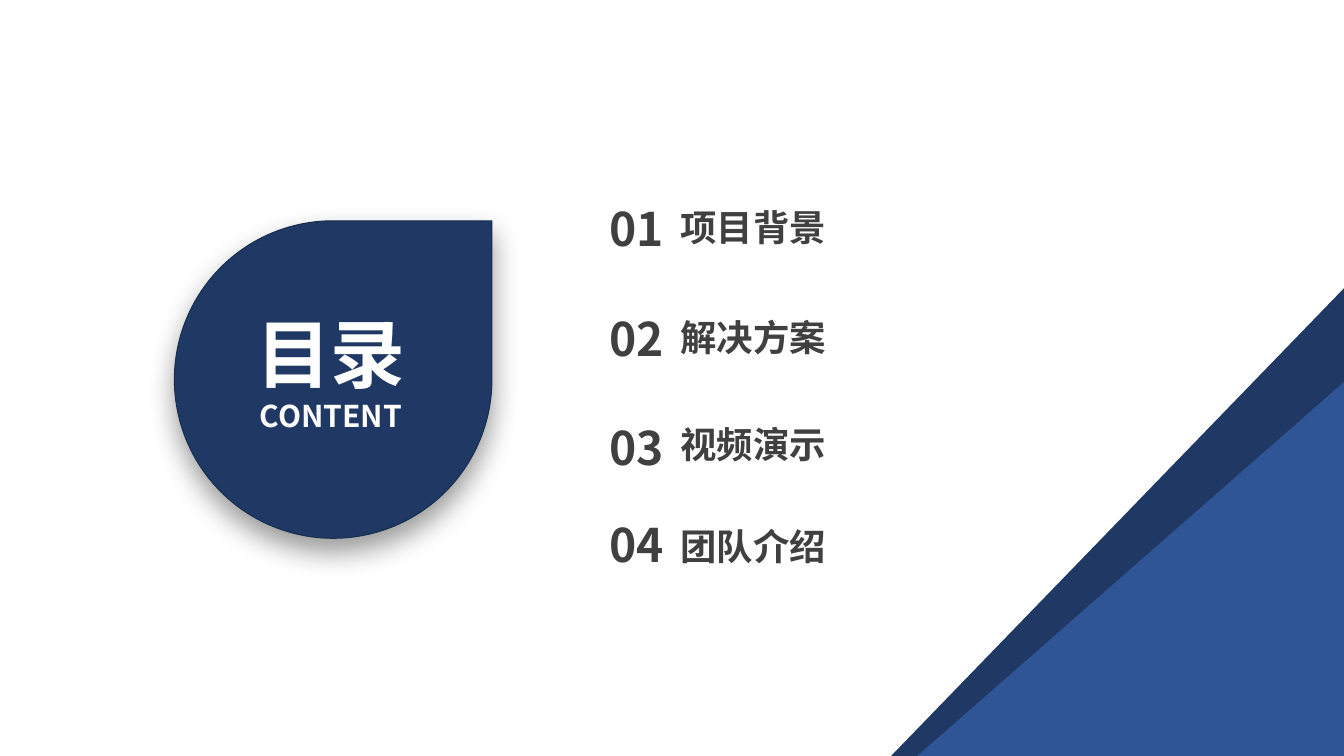
import dataclasses
import typing

import pptx
import pptx.dml.color
import pptx.enum.shapes
import pptx.enum.text
import pptx.oxml
import pptx.oxml.ns
import pptx.util

# The page is a grid of square cells.
COLUMNS, ROWS = 40, 22.5
CELL = pptx.util.Inches(1 / 3)

NAVY = pptx.dml.color.RGBColor(0x20, 0x38, 0x64)
DEEP_NAVY = pptx.dml.color.RGBColor(0x16, 0x2E, 0x4F)
BLUE = pptx.dml.color.RGBColor(0x2F, 0x55, 0x97)
GREY = pptx.dml.color.RGBColor(0x40, 0x40, 0x40)
WHITE = pptx.dml.color.RGBColor(0xFF, 0xFF, 0xFF)

FONT = "Noto Sans CJK SC"
SHAPES = pptx.enum.shapes.MSO_SHAPE
ALIGN = pptx.enum.text.PP_ALIGN
ANCHOR = pptx.enum.text.MSO_ANCHOR


@dataclasses.dataclass(frozen=True)
class Area:
    column: float
    row: float
    columns: float
    rows: float

    def lengths(self) -> list[int]:
        return [cells(n) for n in dataclasses.astuple(self)]


@dataclasses.dataclass(frozen=True)
class Line:
    text: str
    size: float
    color: pptx.dml.color.RGBColor
    align: typing.Any = ALIGN.CENTER


@dataclasses.dataclass(frozen=True)
class Entry:
    number: str
    title: str
    number_row: float
    title_row: float
    title_rows: float


@dataclasses.dataclass(frozen=True)
class Corner:
    """Triangle in the bottom right corner of the page."""

    top_row: float
    left_column: float
    color: pptx.dml.color.RGBColor


DROP = Area(5.19, 6.57, 9.45, 9.45)
HEADING = Area(6.81, 7.41, 7.89, 7.23)
HEADING_LINES = [Line("目录", 53.4, WHITE), Line("CONTENT", 21.4, WHITE)]

NUMBER_COLUMN, NUMBER_SIZE = 17.94, 2.04
TITLE_COLUMN, TITLE_COLUMNS, TITLE_INDENT = 18.69, 12.99, 1.56
ENTRIES = [
    Entry("01", "项目背景", 5.76, 6.09, 1.32),
    Entry("02", "解决方案", 9.03, 9.42, 1.26),
    Entry("03", "视频演示", 12.27, 12.69, 1.17),
    Entry("04", "团队介绍", 15.18, 15.48, 1.41),
]
CORNERS = [Corner(8.58, 26.52, NAVY), Corner(11.37, 27.3, BLUE)]


def cells(count: float) -> int:
    return round(count * CELL)


def apply_format(target: typing.Any, values: dict[str, typing.Any]) -> None:
    for name, value in values.items():
        setattr(target, name, value)


def write(box: typing.Any, lines: list[Line], **frame_format: typing.Any) -> None:
    frame = box.text_frame
    apply_format(frame, frame_format)
    for index, line in enumerate(lines):
        para = frame.add_paragraph() if index else frame.paragraphs[0]
        para.alignment = line.align
        span = para.add_run()
        span.text = line.text
        apply_format(span.font, {"size": pptx.util.Pt(line.size), "bold": True, "name": FONT})
        span.font.color.rgb = line.color
        east_asian = pptx.oxml.parse_xml(
            f'<a:ea {pptx.oxml.ns.nsdecls("a")} typeface="{FONT}"/>'
        )
        span.font._element.find(pptx.oxml.ns.qn("a:latin")).addnext(east_asian)


def paint(shape: typing.Any, fill: pptx.dml.color.RGBColor | None) -> None:
    """Give the shape a plain fill, or none, without outline and shadow."""
    if fill is None:
        shape.fill.background()
    else:
        shape.fill.solid()
        shape.fill.fore_color.rgb = fill
    shape.line.fill.background()
    shape.shadow.inherit = False


def draw_drop(page: typing.Any) -> None:
    drop = page.shapes.add_shape(SHAPES.TEAR, *DROP.lengths())
    paint(drop, NAVY)
    drop.line.color.rgb = DEEP_NAVY
    drop.line.width = pptx.util.Pt(0.75)
    effects = drop._element.spPr.find(pptx.oxml.ns.qn("a:effectLst"))
    effects.append(pptx.oxml.parse_xml(
        f'<a:outerShdw {pptx.oxml.ns.nsdecls("a")} blurRad="{pptx.util.Pt(20)}" '
        f'dist="{pptx.util.Pt(9)}" dir="5400000" algn="t" rotWithShape="0">'
        '<a:srgbClr val="000000"><a:alpha val="40000"/></a:srgbClr></a:outerShdw>'
    ))


def draw_entry(page: typing.Any, entry: Entry) -> None:
    area = Area(NUMBER_COLUMN, entry.number_row, NUMBER_SIZE, NUMBER_SIZE)
    diamond = page.shapes.add_shape(SHAPES.DIAMOND, *area.lengths())
    paint(diamond, WHITE)
    tight = {"margin_left": 0, "margin_right": 0, "margin_top": 0,
             "margin_bottom": 0, "word_wrap": False}
    write(diamond, [Line(entry.number, 33, GREY)],
          **tight, vertical_anchor=ANCHOR.MIDDLE)

    area = Area(TITLE_COLUMN, entry.title_row, TITLE_COLUMNS, entry.title_rows)
    title = page.shapes.add_textbox(*area.lengths())
    write(title, [Line(entry.title, 26, GREY, ALIGN.LEFT)],
          **(tight | {"margin_left": cells(TITLE_INDENT)}),
          vertical_anchor=ANCHOR.BOTTOM)


def draw_heading(page: typing.Any) -> None:
    heading = page.shapes.add_shape(SHAPES.PENTAGON, *HEADING.lengths())
    paint(heading, None)
    write(heading, HEADING_LINES, word_wrap=True, vertical_anchor=ANCHOR.MIDDLE,
          margin_left=cells(0.39), margin_right=cells(0.39),
          margin_top=cells(0.21), margin_bottom=cells(0.21))


def draw_corner(page: typing.Any, corner: Corner) -> None:
    outline = page.shapes.build_freeform(cells(COLUMNS), cells(corner.top_row))
    outline.add_line_segments([
        (cells(corner.left_column), cells(ROWS)),
        (cells(COLUMNS), cells(ROWS)),
    ])
    paint(outline.convert_to_shape(), corner.color)


def main() -> None:
    deck = pptx.Presentation()
    apply_format(deck, {"slide_width": cells(COLUMNS), "slide_height": cells(ROWS)})
    page = deck.slides.add_slide(deck.slide_layouts[6])
    draw_drop(page)
    for entry in reversed(ENTRIES):
        draw_entry(page, entry)
    draw_heading(page)
    for corner in CORNERS:
        draw_corner(page, corner)
    deck.save("out.pptx")


if __name__ == "__main__":
    main()
